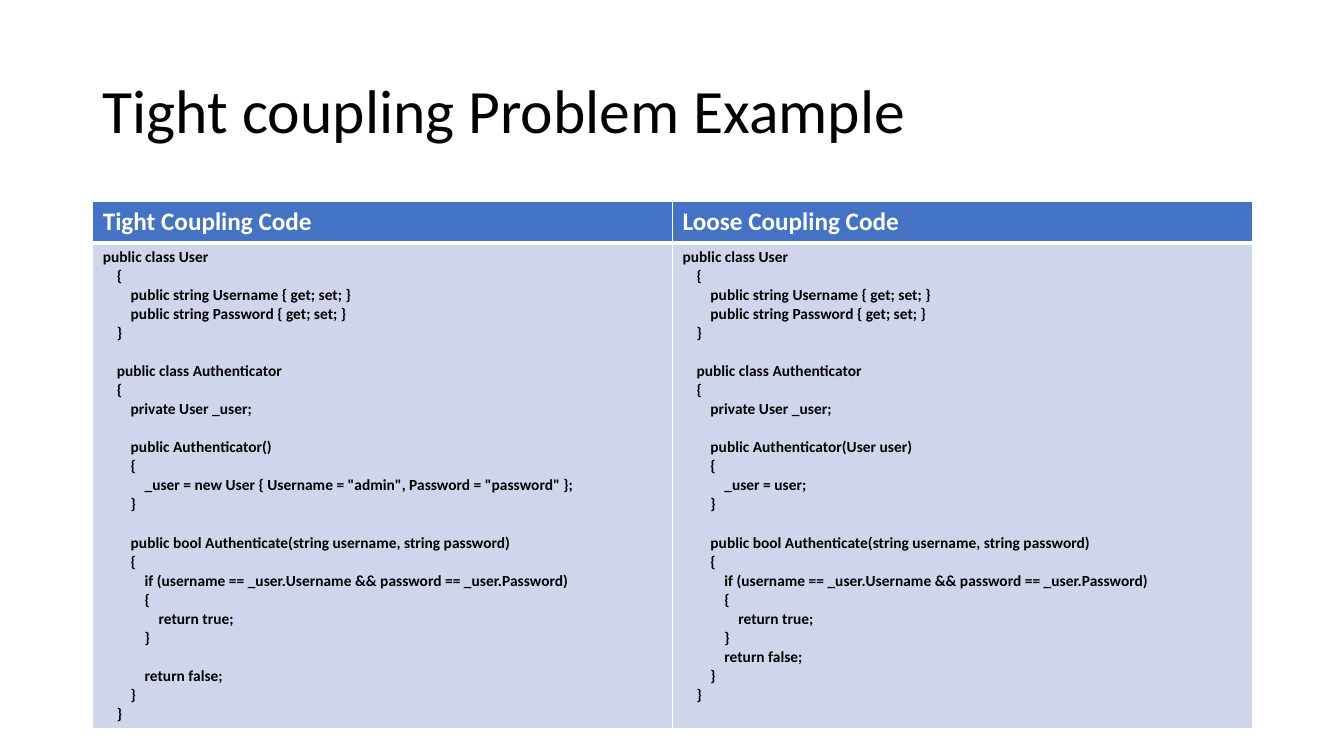
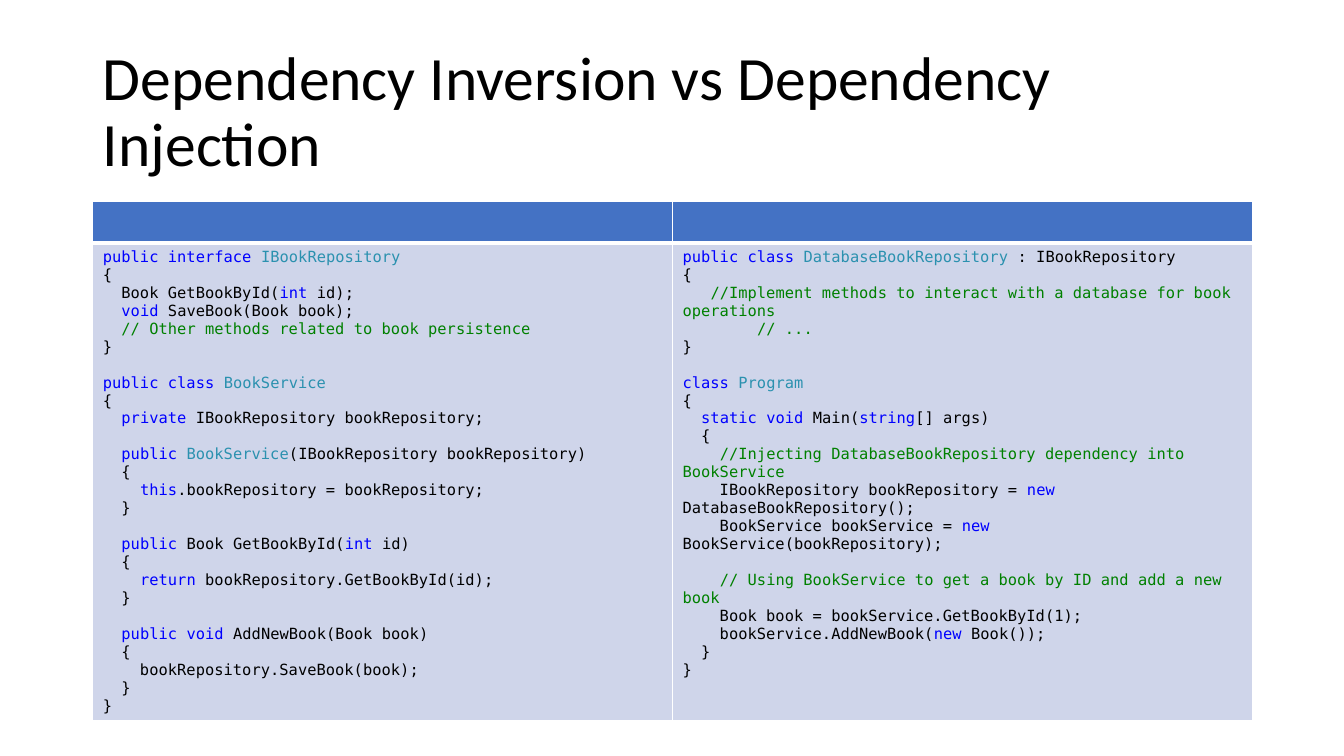
from dataclasses import dataclass
from itertools import groupby

from lxml import etree
from pptx import Presentation
from pptx import util as u
from pptx.dml.color import RGBColor
from pptx.enum import text
from pptx.oxml import ns

COLORS = {
    "plain": "000000", "white": "FFFFFF", "header": "4472C4", "body": "CFD5EA",
    "keyword": "0000FF", "type": "2B91AF", "comment": "008000",
}
KEYWORDS = set("public private static void class interface int string this return new".split())

# Shared geometry and formats
LEFT, WIDTH = u.Inches(0.92), u.Inches(11.5)
TITLE_BOX = dict(left=LEFT, top=u.Inches(0.4), width=WIDTH, height=u.Inches(1.45))
TABLE_TOP, HEADER_HEIGHT = u.Inches(2), u.Inches(0.41)
TITLE_FRAME = dict(vertical_anchor=text.MSO_ANCHOR.MIDDLE, word_wrap=True,
                   auto_size=text.MSO_AUTO_SIZE.NONE)
TITLE_PARAGRAPH = dict(alignment=text.PP_ALIGN.LEFT, line_spacing=0.9)
TITLE_FONT = dict(name="Calibri", size=u.Pt(44), bold=False)
HEADER_FONT = dict(name="Calibri", size=u.Pt(18), bold=True)


@dataclass
class CodeStyle:
    font: dict
    line_pitch: float  # points; also the gap that stands for an empty line
    highlighted: bool


@dataclass
class CodeSlide:
    title: str
    headers: tuple[str, str]
    listings: tuple[str, str]
    style: CodeStyle
    body_height: float


# Code listings
TIGHT = """\
public class User
    {
        public string Username { get; set; }
        public string Password { get; set; }
    }

    public class Authenticator
    {
        private User _user;

        public Authenticator()
        {
            _user = new User { Username = "admin", Password = "password" };
        }

        public bool Authenticate(string username, string password)
        {
            if (username == _user.Username && password == _user.Password)
            {
                return true;
            }

            return false;
        }
    }"""

LOOSE = (TIGHT.replace("Authenticator()", "Authenticator(User user)")
         .replace('new User { Username = "admin", Password = "password" }', "user")
         .replace("\n\n            return false", "\n            return false"))

SERVICE = """\
public interface IBookRepository
{
  Book GetBookById(int id);
  void SaveBook(Book book);
  // Other methods related to book persistence
}

public class BookService
{
  private IBookRepository bookRepository;

  public BookService(IBookRepository bookRepository)
  {
    this.bookRepository = bookRepository;
  }

  public Book GetBookById(int id)
  {
    return bookRepository.GetBookById(id);
  }

  public void AddNewBook(Book book)
  {
    bookRepository.SaveBook(book);
  }
}"""

PROGRAM = """\
public class DatabaseBookRepository : IBookRepository
{
   //Implement methods to interact with a database for book operations
        // ...
}

class Program
{
  static void Main(string[] args)
  {
    //Injecting DatabaseBookRepository dependency into BookService
    IBookRepository bookRepository = new DatabaseBookRepository();
    BookService bookService = new BookService(bookRepository);

    // Using BookService to get a book by ID and add a new book
    Book book = bookService.GetBookById(1);
    bookService.AddNewBook(new Book());
  }
}"""

BOLD_CODE = CodeStyle(dict(name="Calibri", size=u.Pt(11), bold=True), 13.6, False)
MONO_CODE = CodeStyle(dict(name="DejaVu Sans Mono", size=u.Pt(11), bold=False), 12.8, True)

SLIDES = [
    CodeSlide("Tight coupling Problem Example", ("Tight Coupling Code", "Loose Coupling Code"),
              (TIGHT, LOOSE), BOLD_CODE, 4.8),
    CodeSlide("Dependency Inversion vs Dependency Injection", ("", ""),
              (SERVICE, PROGRAM), MONO_CODE, 4.72),
]


def apply(obj, values: dict) -> None:
    for name, value in values.items():
        setattr(obj, name, value)


def add_run(p, content: str, font: dict, color: str) -> None:
    r = p.add_run()
    r.text = content
    apply(r.font, font)
    r.font.color.rgb = RGBColor.from_string(COLORS[color])


def highlight(line: str) -> list[tuple[str, str]]:
    """Split a code line into (text, colour) parts."""
    code, slashes, comment = line.partition("//")
    tokens = ["".join(g) for _, g in groupby(code, lambda c: (c.isalnum(), c.isspace()))]
    parts, color, word = [], "plain", ""
    for token, following in zip(tokens, tokens[1:] + [""]):
        if not token.isspace():
            is_constructor = word == "public" and following.startswith("(")
            if token in KEYWORDS:
                color = "keyword"
            elif word in ("class", "interface") or is_constructor:
                color = "type"
            else:
                color = "plain"
            word = token
        parts.append((token, color))
    if slashes:
        parts.append((slashes + comment, "comment"))
    return [("".join(t for t, _ in g), c) for c, g in groupby(parts, lambda part: part[1])]


def format_cell(cell, fill: str, top: int, bottom: int) -> None:
    """Fill a cell and give it white borders; widths in points."""
    cell.fill.solid()
    cell.fill.fore_color.rgb = RGBColor.from_string(COLORS[fill])
    tc_pr = cell._tc.get_or_add_tcPr()
    for i, (side, width) in enumerate(zip("LRTB", (1, 1, top, bottom))):
        ln = etree.Element(ns.qn(f"a:ln{side}"), w=str(u.Pt(width)))
        solid = etree.SubElement(ln, ns.qn("a:solidFill"))
        etree.SubElement(solid, ns.qn("a:srgbClr"), val=COLORS["white"])
        tc_pr.insert(i, ln)


def write_code(tf, listing: str, style: CodeStyle) -> None:
    p, gap = tf.paragraphs[0], False
    for i, line in enumerate(listing.splitlines()):
        if not line:
            gap = True
            continue
        if i:
            p = tf.add_paragraph()
        if gap:
            p.space_before = u.Pt(style.line_pitch)
        gap = False
        for content, color in highlight(line) if style.highlighted else [(line, "plain")]:
            add_run(p, content, style.font, color)


def add_title(s, title: str) -> None:
    sp = s.shapes.title
    apply(sp, TITLE_BOX)
    tf = sp.text_frame
    apply(tf, TITLE_FRAME)
    p = tf.paragraphs[0]
    apply(p, TITLE_PARAGRAPH)
    add_run(p, title, TITLE_FONT, "plain")


def add_code_table(s, content: CodeSlide) -> None:
    body_height = u.Inches(content.body_height)
    table = s.shapes.add_table(2, 2, LEFT, TABLE_TOP, WIDTH, HEADER_HEIGHT + body_height).table
    table.rows[0].height, table.rows[1].height = HEADER_HEIGHT, body_height
    for col, (header, listing) in enumerate(zip(content.headers, content.listings)):
        head, body = table.cell(0, col), table.cell(1, col)
        format_cell(head, "header", top=1, bottom=3)
        format_cell(body, "body", top=3, bottom=1)
        if header:
            add_run(head.text_frame.paragraphs[0], header, HEADER_FONT, "white")
        write_code(body.text_frame, listing, content.style)


def main() -> None:
    prs = Presentation()
    prs.slide_width, prs.slide_height = u.Inches(13.33), u.Inches(7.5)
    title_only = prs.slide_layouts[5]
    for content in SLIDES:
        s = prs.slides.add_slide(title_only)
        add_title(s, content.title)
        add_code_table(s, content)
    prs.save("out.pptx")


if __name__ == "__main__":
    main()
